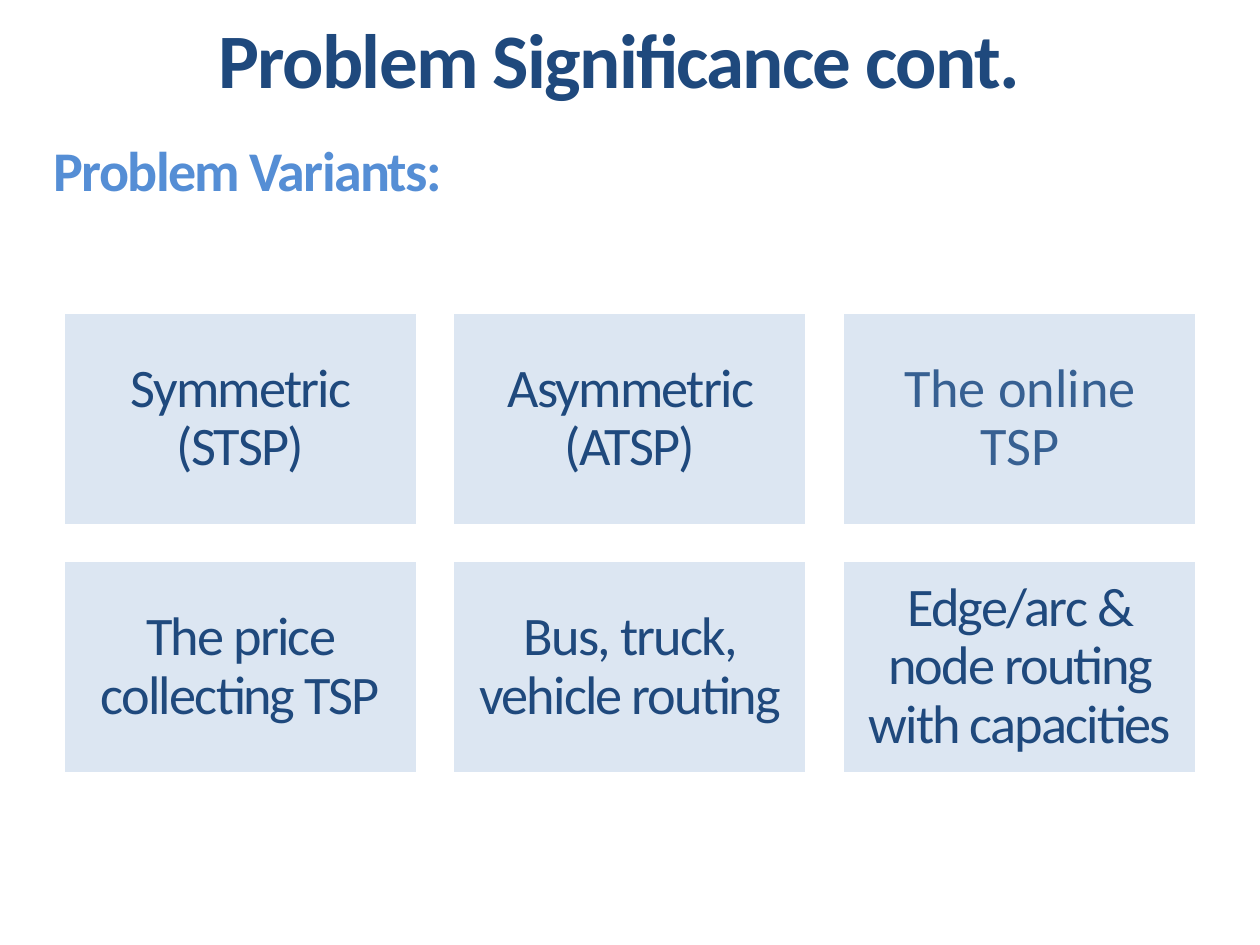
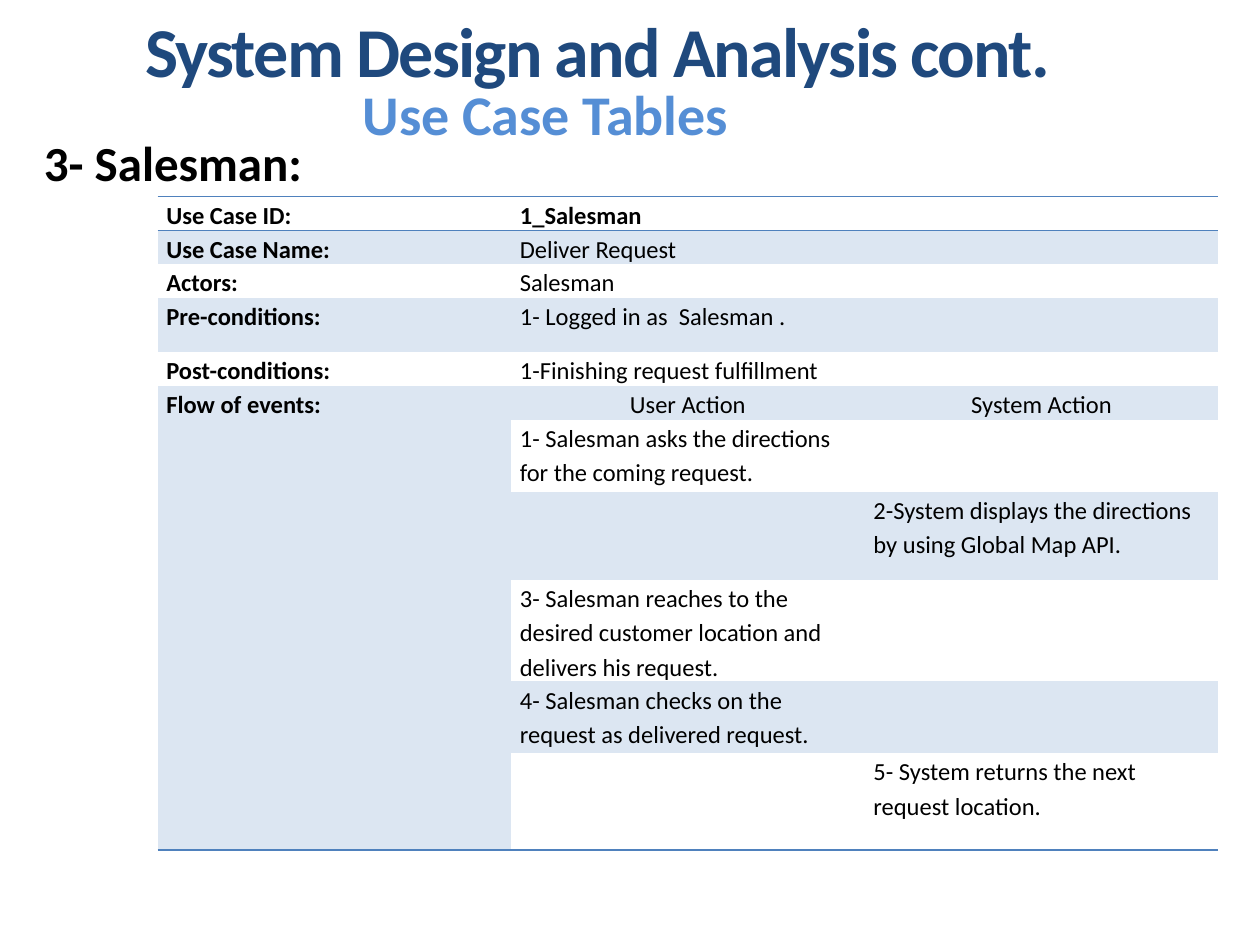
from collections import namedtuple

from lxml.etree import SubElement
from pptx import Presentation
from pptx.dml.color import RGBColor
from pptx.enum.shapes import MSO_SHAPE
from pptx.enum.text import MSO_ANCHOR, MSO_AUTO_SIZE, PP_ALIGN
from pptx.oxml.ns import qn
from pptx.util import Inches, Pt

COLORS = {
    "navy": "1F497D",
    "steel": "376092",
    "sky": "558ED5",
    "pale": "DCE6F2",
    "rule": "4F81BD",
    "white": "FFFFFF",
    "black": "000000",
}
FONT = "Calibri"
TIGHT = -100
PLAIN_TABLE_STYLE = "{2D5ABB26-0587-4C30-8999-92F81FD0307C}"

Box = namedtuple("Box", "left top width height")

VARIANTS = [
    "Symmetric (STSP)",
    "Asymmetric (ATSP)",
    "The online TSP",
    "The price collecting TSP",
    "Bus, truck, vehicle routing",
    "Edge/arc & node routing with capacities",
]

USE_CASE_ROWS = [
    (0.26, "Use Case ID:", "1_Salesman", ""),
    (0.26, "Use Case Name:", "Deliver Request", ""),
    (0.26, "Actors:", "Salesman", ""),
    (0.43, "Pre-conditions:", "1- Logged in as  Salesman .", ""),
    (0.26, "Post-conditions:", "1-Finishing request fulfillment", ""),
    (0.26, "Flow of events:", "User Action", "System Action"),
    (0.57, "", "1- Salesman asks the directions for the coming request.", ""),
    (0.70, "", "", "2-System displays the directions by using Global Map API."),
    (0.77, "", "3- Salesman reaches to the desired customer location and delivers his request.", ""),
    (0.57, "", "4- Salesman checks on the request as delivered request.", ""),
    (0.77, "", "", "5- System returns the next request location."),
]
FLOW_ROW = 5


def color(name):
    return RGBColor.from_string(COLORS[name])


def place(box):
    return [Inches(length) for length in box]


def write(frame, text, size, ink="black", bold=False, align=PP_ALIGN.LEFT,
          tracking=0, line_spacing=None, space_after=None):
    frame.word_wrap = True
    para = frame.paragraphs[0]
    para.alignment = align
    para.line_spacing = line_spacing
    para.space_after = space_after
    span = para.add_run()
    span.text = text
    span.font.name = FONT
    span.font.size = Pt(size)
    span.font.bold = bold
    span.font.color.rgb = color(ink)
    if tracking:
        span._r.get_or_add_rPr().set("spc", str(tracking))


def add_titled_slide(deck, text, box, size):
    slide = deck.slides.add_slide(deck.slide_layouts[5])
    title = slide.shapes.title
    title.left, title.top, title.width, title.height = place(box)
    frame = title.text_frame
    frame.auto_size = MSO_AUTO_SIZE.NONE
    frame.vertical_anchor = MSO_ANCHOR.MIDDLE
    frame.margin_top = frame.margin_bottom = 0
    write(frame, text, size, "navy", bold=True, align=PP_ALIGN.CENTER, tracking=TIGHT)
    return slide


def add_heading(slide, text, box, size, **style):
    heading = slide.shapes.add_textbox(*place(box))
    write(heading.text_frame, text, size, bold=True, **style)


def add_card(slide, text, box, **style):
    card = slide.shapes.add_shape(MSO_SHAPE.RECTANGLE, *place(box))
    card.shadow.inherit = False
    card.fill.solid()
    card.fill.fore_color.rgb = color("pale")
    card.line.color.rgb = color("white")
    card.line.width = Pt(2)
    frame = card.text_frame
    frame.vertical_anchor = MSO_ANCHOR.MIDDLE
    frame.margin_left = frame.margin_right = Inches(0.13)
    frame.margin_top = frame.margin_bottom = Inches(0.13)
    write(frame, text, 31, align=PP_ALIGN.CENTER, line_spacing=0.9, **style)


def add_card_grid(slide, texts, box, columns=3, gap=0.28):
    rows = len(texts) // columns
    width = (box.width - gap * (columns - 1)) / columns
    height = (box.height - gap * (rows - 1)) / rows
    for index, text in enumerate(texts):
        row, column = divmod(index, columns)
        card_box = Box(box.left + column * (width + gap),
                       box.top + row * (height + gap), width, height)
        online = text == "The online TSP"
        add_card(slide, text, card_box, ink="steel" if online else "navy",
                 tracking=0 if online else TIGHT)


def add_rule(cell, edge):
    properties = cell._tc.get_or_add_tcPr()
    line = SubElement(properties, qn(f"a:{edge}"), w=str(Pt(1)))
    fill = SubElement(line, qn("a:solidFill"))
    SubElement(fill, qn("a:srgbClr"), val=COLORS["rule"])
    properties.insert(0, line)


def format_cell(cell, text, banded, **style):
    cell.margin_left = cell.margin_right = Inches(0.07)
    cell.margin_top = cell.margin_bottom = 0
    if banded:
        cell.fill.solid()
        cell.fill.fore_color.rgb = color("pale")
    else:
        cell.fill.background()
    if text:
        write(cell.text_frame, text, 14, line_spacing=1.15, space_after=Pt(10), **style)


def add_use_case_table(slide, rows, box):
    last = len(rows) - 1
    table = slide.shapes.add_table(len(rows), 3, *place(box)).table
    table._tbl.tblPr.find(qn("a:tableStyleId")).text = PLAIN_TABLE_STYLE
    for column in table.columns:
        column.width = Inches(box.width / 3)
    for index, (height, *texts) in enumerate(rows):
        table.rows[index].height = Inches(height)
        for position, text in enumerate(texts):
            cell = table.cell(index, position)
            flow_label = position == 0 and index >= FLOW_ROW
            heading = index == FLOW_ROW and position > 0
            format_cell(cell, text, banded=flow_label or index % 2 == 1,
                        bold=position == 0 or index == 0,
                        align=PP_ALIGN.CENTER if heading else PP_ALIGN.LEFT)
            if index in (0, last) or (flow_label and index == FLOW_ROW):
                add_rule(cell, "lnB")
            if index == 0:
                add_rule(cell, "lnT")
    for index in range(FLOW_ROW):
        table.cell(index, 1).merge(table.cell(index, 2))
    table.cell(FLOW_ROW, 0).merge(table.cell(last, 0))


def build_variants_slide(deck):
    slide = add_titled_slide(deck, "Problem Significance cont.", Box(1, 0.08, 7.83, 0.76), 44)
    add_heading(slide, "Problem Variants:", Box(0.33, 1.03, 6, 0.64), 32,
                ink="sky", tracking=TIGHT)
    add_card_grid(slide, VARIANTS, Box(0.5, 2.48, 9, 3.66))


def build_use_case_slide(deck):
    slide = add_titled_slide(deck, "System Design and Analysis cont.", Box(0.83, 0.01, 7.83, 0.76), 40)
    add_heading(slide, "3- Salesman:", Box(0.25, 1, 4.21, 0.57), 28)
    add_heading(slide, "Use Case Tables", Box(1.79, 0.58, 5.08, 0.64), 32,
                ink="sky", align=PP_ALIGN.CENTER)
    add_use_case_table(slide, USE_CASE_ROWS, Box(1.25, 1.56, 8.42, 5.19))


def main():
    deck = Presentation()
    deck.slide_width = Inches(10)
    deck.slide_height = Inches(7.5)
    build_variants_slide(deck)
    build_use_case_slide(deck)
    deck.save("out.pptx")


if __name__ == "__main__":
    main()
